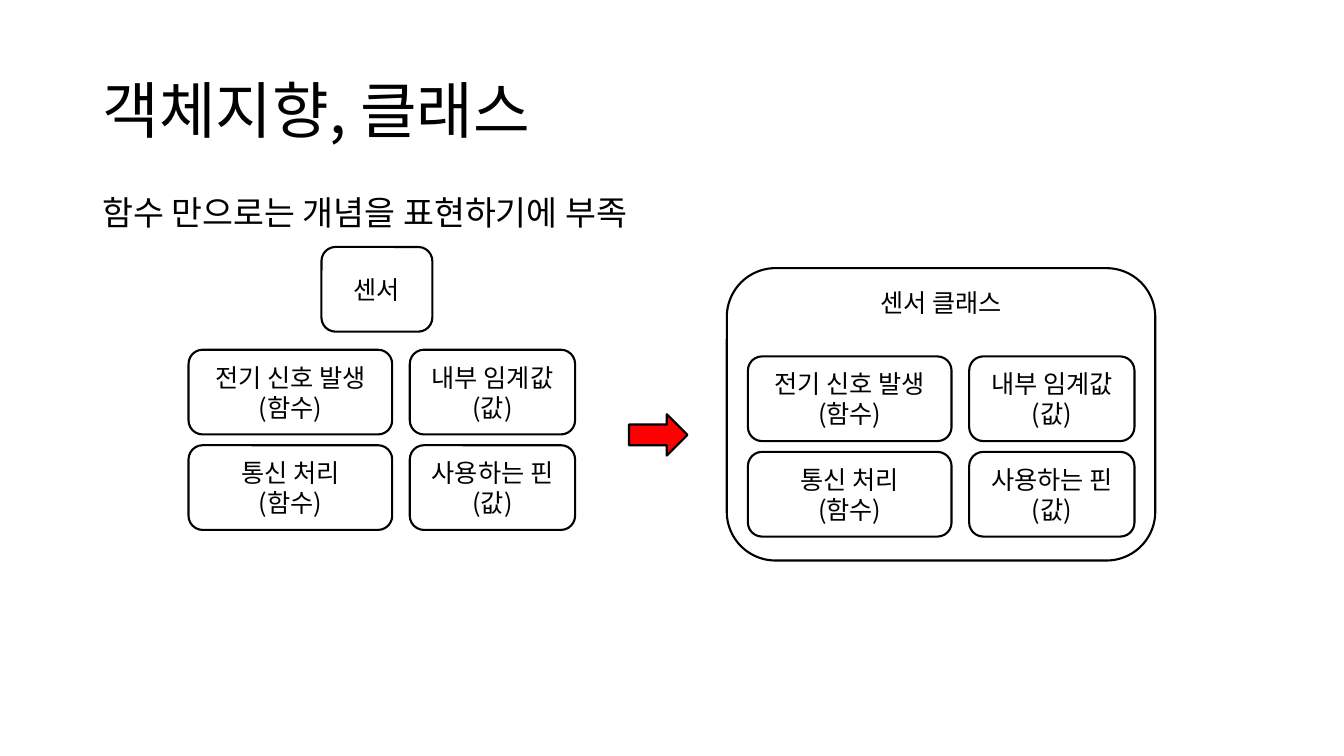
from dataclasses import dataclass
from typing import Any

from lxml import etree
from pptx import Presentation, util as u
from pptx.dml import color
from pptx.enum import shapes, text
from pptx.oxml import ns


@dataclass(frozen=True)
class Theme:
    font: str = "Noto Sans CJK KR"
    ink: str = "000000"
    paper: str = "FFFFFF"
    accent: str = "FF0000"
    title: float = 44
    lead: float = 24
    label: float = 18
    line: float = 1.5


@dataclass(frozen=True)
class Rect:
    x: float
    y: float
    w: float
    h: float


@dataclass(frozen=True)
class Block:
    col: int
    row: int
    name: str
    kind: str


THEME = Theme()
WIDE, HIGH = u.Inches(13.333), u.Inches(7.5)
ROUND = shapes.MSO_SHAPE.ROUNDED_RECTANGLE
ARROW = shapes.MSO_SHAPE.RIGHT_ARROW
MID, TOP = text.MSO_ANCHOR.MIDDLE, text.MSO_ANCHOR.TOP
LEFT, MIDST = text.PP_ALIGN.LEFT, text.PP_ALIGN.CENTER

COLS = ((0, 15.15), (16.46, 12.3))
STEP, TALL = 12.63, 11.2
BLOCKS = (
    Block(0, 0, "전기 신호 발생", "(함수)"),
    Block(1, 0, "내부 임계값", "(값)"),
    Block(0, 1, "통신 처리", "(함수)"),
    Block(1, 1, "사용하는 핀", "(값)"),
)


def place(rect: Rect) -> tuple[int, ...]:
    sides = (rect.x, WIDE), (rect.y, HIGH), (rect.w, WIDE), (rect.h, HIGH)
    return tuple(round(part * full / 100) for part, full in sides)


def apply(item: Any, form: dict[str, Any]) -> None:
    for key, value in form.items():
        setattr(item, key, value)


def write(frame: Any, lines: tuple[str, ...], size: float, align: Any,
          form: dict[str, Any], para: dict[str, Any]) -> None:
    apply(frame, {"word_wrap": True, **form})
    for spot, line in enumerate(lines):
        part = frame.add_paragraph() if spot else frame.paragraphs[0]
        apply(part, {"alignment": align, **para})
        run = part.add_run()
        run.text = line
        apply(run.font, {"size": u.Pt(size), "name": THEME.font})
        run.font.color.rgb = color.RGBColor.from_string(THEME.ink)
        east = etree.SubElement(run.font._element, ns.qn("a:ea"))
        east.set("typeface", THEME.font)


def note(pool: Any, rect: Rect, line: str, size: float,
         form: dict[str, Any], para: dict[str, Any]) -> None:
    box = pool.add_textbox(*place(rect))
    write(box.text_frame, (line,), size, LEFT, form, para)


def draw(pool: Any, kind: Any, rect: Rect, fill: str,
         lines: tuple[str, ...] = (), anchor: Any = MID) -> None:
    shape = pool.add_shape(kind, *place(rect))
    shape.shadow.inherit = False
    shape.fill.solid()
    shape.fill.fore_color.rgb = color.RGBColor.from_string(fill)
    shape.line.color.rgb = color.RGBColor.from_string(THEME.ink)
    shape.line.width = u.Pt(THEME.line)
    write(shape.text_frame, lines, THEME.label, MIDST,
          {"vertical_anchor": anchor}, {})


def grid(pool: Any, left: float, top: float) -> None:
    for block in BLOCKS:
        shift, width = COLS[block.col]
        rect = Rect(left + shift, top + block.row * STEP, width, TALL)
        draw(pool, ROUND, rect, THEME.paper, (block.name, block.kind))


def main() -> None:
    deck = Presentation()
    apply(deck, {"slide_width": WIDE, "slide_height": HIGH})
    pool = deck.slides.add_slide(deck.slide_layouts[6]).shapes

    note(pool, Rect(6.88, 5.33, 86.25, 19.33), "객체지향, 클래스", THEME.title,
         {"vertical_anchor": MID}, {"line_spacing": 0.9})
    note(pool, Rect(6.88, 24.67, 46, 6.67), "함수 만으로는 개념을 표현하기에 부족",
         THEME.lead, {"auto_size": text.MSO_AUTO_SIZE.SHAPE_TO_FIT_TEXT}, {})

    draw(pool, ROUND, Rect(23.92, 32.67, 8.25, TALL), THEME.paper, ("센서",))
    grid(pool.add_group_shape().shapes, 14.03, 46.27)
    draw(pool, ARROW, Rect(46.8, 54.8, 4.35, 5.47), THEME.accent)

    group = pool.add_group_shape().shapes
    draw(group, ROUND, Rect(54.08, 35.47, 31.88, 38.67), THEME.paper,
         ("센서 클래스",), TOP)
    grid(group, 55.65, 47.15)

    deck.save("out.pptx")


if __name__ == "__main__":
    main()
